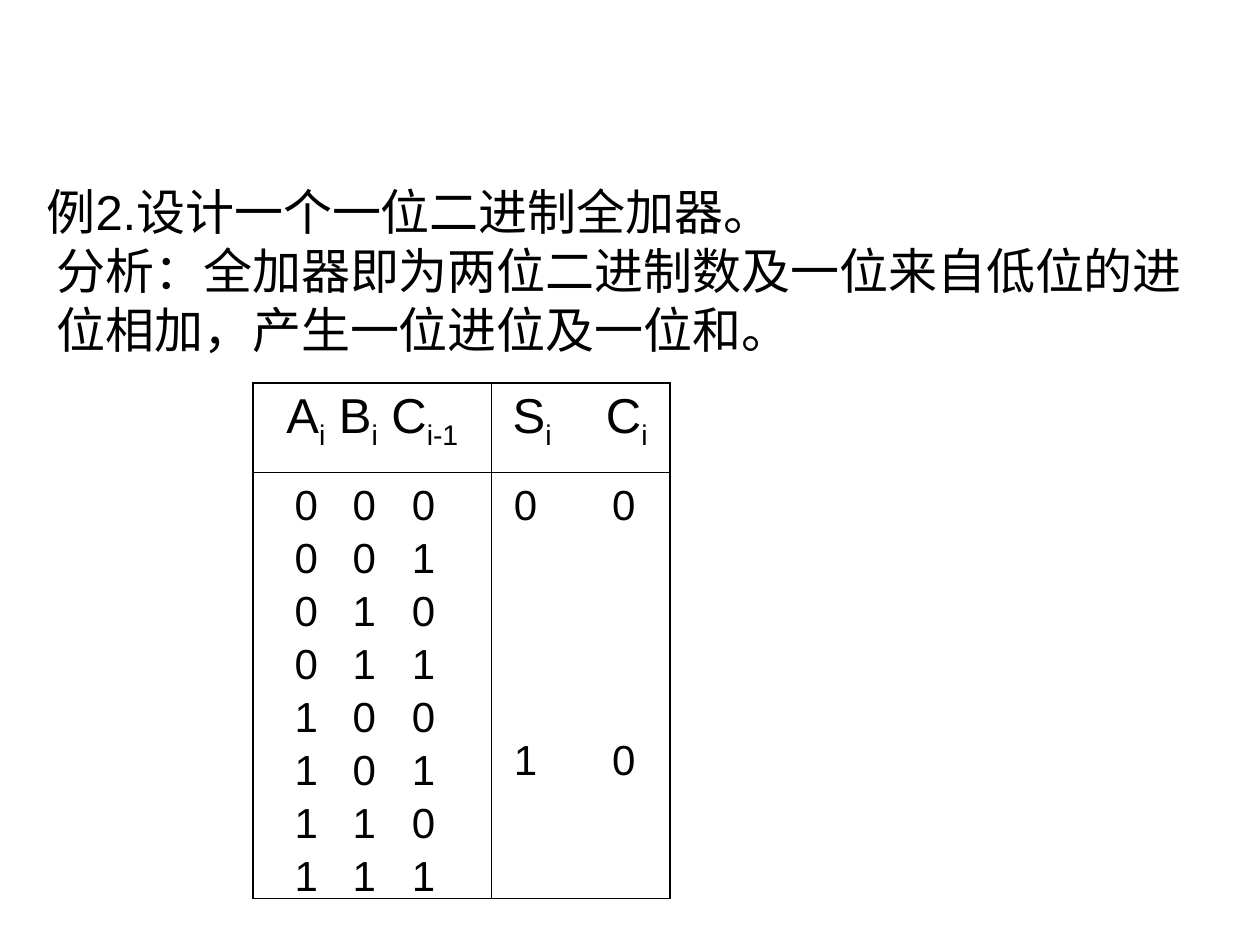
from itertools import product

from lxml.etree import SubElement
from pptx import Presentation
from pptx.dml.color import RGBColor
from pptx.enum.text import MSO_ANCHOR, MSO_AUTO_SIZE, PP_ALIGN
from pptx.oxml.ns import qn
from pptx.util import Inches, Pt

BLACK = RGBColor(0, 0, 0)
FONT = "Arial"
HEAD_SIZE, BODY_SIZE = 28, 24
OUTER, INNER = 1.08, 0.45

TITLE = "例2.设计一个一位二进制全加器。"
ANALYSIS = "分析：全加器即为两位二进制数及一位来自低位的进位相加，产生一位进位及一位和。"
# Header runs: (text, is subscript)
INPUT_HEAD = [("A", False), ("i", True), (" B", False), ("i", True),
              (" C", False), ("i-1", True)]
OUTPUT_HEAD = [("S", False), ("i", True), ("\tC", False), ("i", True)]
INPUT_ROWS = ["\t".join(bits) for bits in product("01", repeat=3)]

TABLE_LEFT, TABLE_TOP = 2.01, 3.04
COLS, ROWS = [1.89, 1.42], [0.71, 3.38]
VALUES_TOP, VALUES_H = 3.75, 3.45
# Value columns: left, width, lines, space before, tab stops
VALUES = [
    (2.24, 1.34, INPUT_ROWS, 1.5, (0.46, 0.93)),
    (3.98, 0.55, ["0", "1"], 117, ()),
    (4.76, 0.55, ["0", "0"], 117, ()),
]


def add_tabs(p, stops):
    if stops:
        tabs = SubElement(p._p.get_or_add_pPr(), qn("a:tabLst"))
        for stop in stops:
            SubElement(tabs, qn("a:tab"), pos=str(Inches(stop)), algn="l")


def add_run(p, text, size, subscript=False):
    r = p.add_run()
    r.text = text
    for name, value in {"name": FONT, "size": Pt(size)}.items():
        setattr(r.font, name, value)
    r.font.color.rgb = BLACK
    if subscript:
        r.font._element.set("baseline", "-25000")


def fill_text(sp, lines, size, gap=0, stops=()):
    tf = sp.text_frame
    settings = {"word_wrap": True, "auto_size": MSO_AUTO_SIZE.NONE,
                "vertical_anchor": MSO_ANCHOR.TOP}
    for name, value in settings.items():
        setattr(tf, name, value)
    for i, line in enumerate(lines):
        p = tf.add_paragraph() if i else tf.paragraphs[0]
        p.alignment = PP_ALIGN.LEFT
        p.space_before = Pt(gap if i else 0)
        add_tabs(p, stops)
        add_run(p, line, size)


def set_borders(cell, widths):
    """Draw the left, right, top and bottom borders, in that order."""
    cell.fill.background()
    tc_pr = cell._tc.get_or_add_tcPr()
    for i, (side, width) in enumerate(zip("LRTB", widths)):
        ln = tc_pr.makeelement(qn(f"a:ln{side}"), {"w": str(Pt(width))})
        fill = SubElement(ln, qn("a:solidFill"))
        SubElement(fill, qn("a:srgbClr"), val=str(BLACK))
        tc_pr.insert(i, ln)


def add_truth_table(slide):
    table = slide.shapes.add_table(
        len(ROWS), len(COLS), Inches(TABLE_LEFT), Inches(TABLE_TOP),
        Inches(sum(COLS)), Inches(sum(ROWS))).table
    table.first_row = table.horz_banding = False
    for col, width in zip(table.columns, COLS):
        col.width = Inches(width)
    for row, height in zip(table.rows, ROWS):
        row.height = Inches(height)
    for r, c in product(range(len(ROWS)), range(len(COLS))):
        edges = (c == 0, c == len(COLS) - 1, r == 0, r == len(ROWS) - 1)
        set_borders(table.cell(r, c), [OUTER if e else INNER for e in edges])

    p = table.cell(0, 0).text_frame.paragraphs[0]
    p.alignment = PP_ALIGN.CENTER
    for text, sub in INPUT_HEAD:
        add_run(p, text, HEAD_SIZE, sub)

    cell = table.cell(0, 1)
    cell.margin_left, cell.margin_right = Inches(0.17), Inches(0.05)
    p = cell.text_frame.paragraphs[0]
    add_tabs(p, [0.74])
    for text, sub in OUTPUT_HEAD:
        add_run(p, text, HEAD_SIZE, sub)


def main():
    prs = Presentation()
    prs.slide_width, prs.slide_height = Inches(10), Inches(7.5)
    slide = prs.slides.add_slide(prs.slide_layouts[5])

    title = slide.shapes.title
    place = {"left": 0.27, "top": 1.39, "width": 9.13, "height": 0.57}
    for name, value in place.items():
        setattr(title, name, Inches(value))
    fill_text(title, [TITLE], HEAD_SIZE)

    box = slide.shapes.add_textbox(Inches(0.35), Inches(1.86),
                                   Inches(9.13), Inches(1.04))
    fill_text(box, [ANALYSIS], HEAD_SIZE)

    add_truth_table(slide)
    for left, width, lines, gap, stops in VALUES:
        box = slide.shapes.add_textbox(Inches(left), Inches(VALUES_TOP),
                                       Inches(width), Inches(VALUES_H))
        fill_text(box, lines, BODY_SIZE, gap, stops)

    prs.save("out.pptx")


if __name__ == "__main__":
    main()
